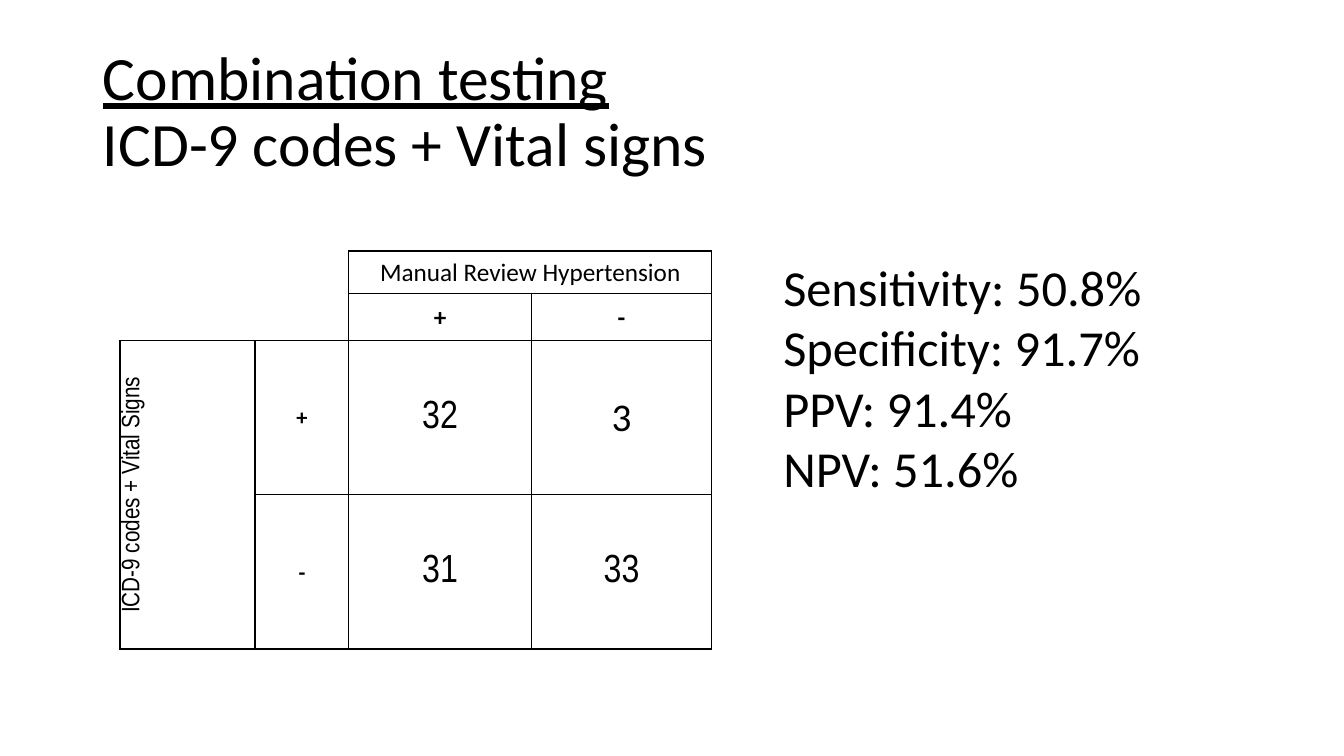
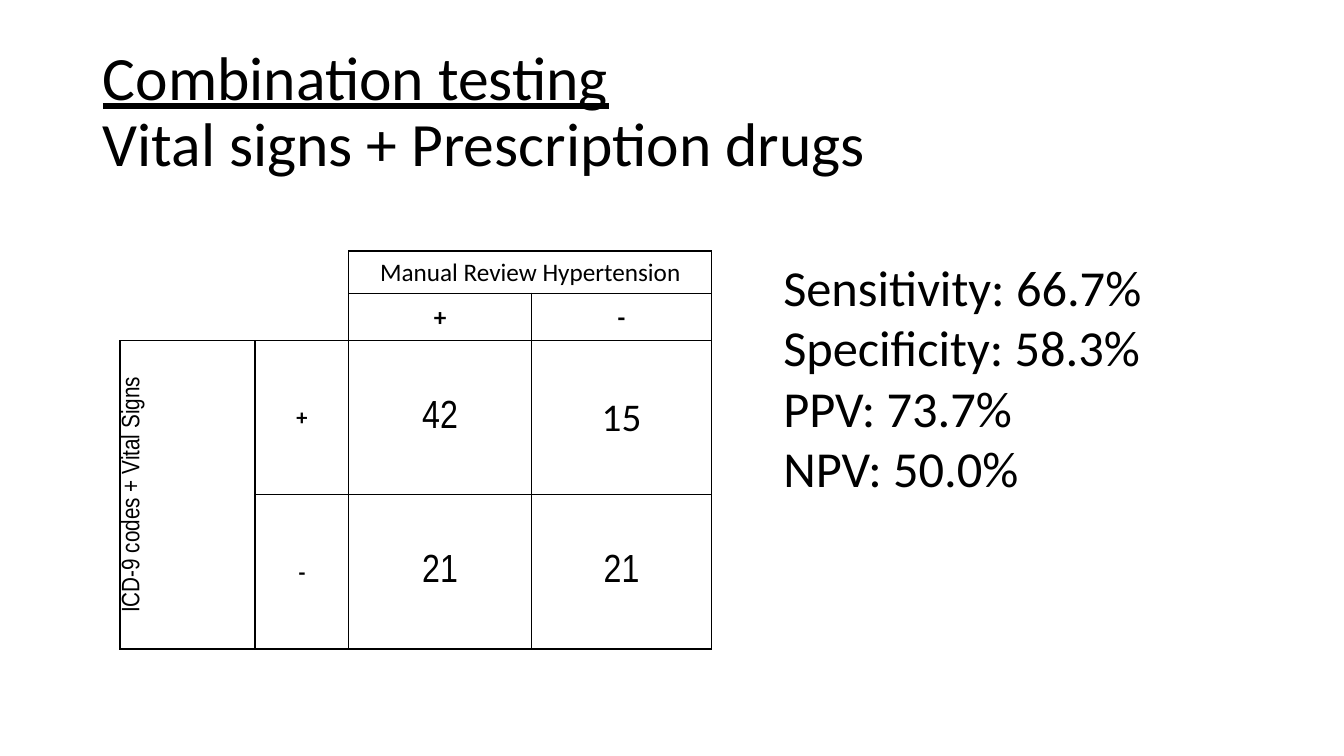
from lxml.etree import SubElement
from pptx import Presentation
from pptx.dml.color import RGBColor
from pptx.enum.text import MSO_ANCHOR as Anchor, MSO_AUTO_SIZE as AutoSize, PP_ALIGN as Align
from pptx.oxml.ns import qn
from pptx.util import Inches, Pt

COLORS = {"ink": "000000", "paper": "FFFFFF"}
BODY_FONT = "Calibri"
NARROW_FONT = "Arial Narrow"

TITLE_BOX = (0.92, 0.4, 11.5, 1.45)
MATRIX_BOX = (1.19, 2.49, 5.87, 3.95)
STATS_BOX = (7.67, 2.49, 4.21, 2.52)

COL_WIDTHS = (1.34, 0.93, 1.81, 1.79)
ROW_HEIGHTS = (0.42, 0.47, 1.53, 1.53)
TOPIC = "Combination testing"
STAT_NAMES = ("Sensitivity", "Specificity", "PPV", "NPV")

SLIDES = (
    ("ICD-9 codes + Vital signs", (("32", "3"), ("31", "33")),
     ("50.8%", "91.7%", "91.4%", "51.6%")),
    ("Vital signs + Prescription drugs", (("42", "15"), ("21", "21")),
     ("66.7%", "58.3%", "73.7%", "50.0%")),
)


def format_run(r, size, font=BODY_FONT, bold=False):
    r.font.size = Pt(size)
    r.font.name = font
    r.font.bold = bold
    r.font.color.rgb = RGBColor.from_string(COLORS["ink"])


def set_borders(cell, left="ink", right="ink", top="ink", bottom="ink"):
    tc_pr = cell._tc.get_or_add_tcPr()
    for side, color in zip("LRTB", (left, right, top, bottom)):
        ln = SubElement(tc_pr, qn(f"a:ln{side}"), w=str(Pt(1)))
        fill = SubElement(ln, qn("a:solidFill"))
        SubElement(fill, qn("a:srgbClr"), val=COLORS[color])


def write_cell(cell, text, size, font=BODY_FONT, bold=False):
    cell.vertical_anchor = Anchor.MIDDLE
    cell.margin_left = cell.margin_right = cell.margin_top = Inches(0.01)
    cell.margin_bottom = 0
    p = cell.text_frame.paragraphs[0]
    p.text = text
    p.alignment = Align.CENTER
    format_run(p.runs[0], size, font, bold)


def add_title(slide, box, subject):
    sp = slide.shapes.title
    sp.left, sp.top, sp.width, sp.height = map(Inches, box)
    tf = sp.text_frame
    tf.auto_size = AutoSize.NONE
    tf.vertical_anchor = Anchor.MIDDLE
    p = tf.paragraphs[0]
    p.text = f"{TOPIC}\v{subject}"
    p.alignment = Align.LEFT
    p.line_spacing = 0.9
    for r in p.runs:
        format_run(r, 44)
    p.runs[0].font.underline = True


def add_matrix(slide, box, counts):
    table = slide.shapes.add_table(4, 4, *map(Inches, box)).table
    table.first_row = table.horz_banding = False
    for col, width in zip(table.columns, COL_WIDTHS):
        col.width = Inches(width)
    for row, height in zip(table.rows, ROW_HEIGHTS):
        row.height = Inches(height)

    blank_borders = {
        (0, 0): dict(left="paper", right="paper", top="paper", bottom="paper"),
        (0, 1): dict(left="paper", top="paper", bottom="paper"),
        (1, 0): dict(left="paper", right="paper", top="paper"),
        (1, 1): dict(left="paper", top="paper"),
    }
    for row in range(4):
        for col in range(4):
            cell = table.cell(row, col)
            set_borders(cell, **blank_borders.get((row, col), {}))
            cell.fill.background()

    table.cell(0, 2).merge(table.cell(0, 3))
    write_cell(table.cell(0, 2), "Manual Review Hypertension", 18)
    side = table.cell(2, 0)
    side.merge(table.cell(3, 0))
    write_cell(side, "ICD-9 codes + Vital Signs", 18, NARROW_FONT)
    side._tc.get_or_add_tcPr().set("vert", "vert270")

    for i, sign in enumerate("+-"):
        write_cell(table.cell(1, 2 + i), sign, 18, bold=True)
        write_cell(table.cell(2 + i, 1), sign, 16, bold=True)
        for j, count in enumerate(counts[i]):
            font = BODY_FONT if (i, j) == (0, 1) else NARROW_FONT
            write_cell(table.cell(2 + i, 2 + j), count, 28, font)


def add_stats(slide, box, values):
    tf = slide.shapes.add_textbox(*map(Inches, box)).text_frame
    tf.word_wrap = True
    tf.auto_size = AutoSize.SHAPE_TO_FIT_TEXT
    p = tf.paragraphs[0]
    p.text = "\v".join(f"{name}: {value}" for name, value in zip(STAT_NAMES, values))
    for r in p.runs:
        format_run(r, 36)


def add_test_slide(prs, subject, counts, values):
    slide = prs.slides.add_slide(prs.slide_layouts[5])
    add_title(slide, TITLE_BOX, subject)
    add_matrix(slide, MATRIX_BOX, counts)
    add_stats(slide, STATS_BOX, values)


def main():
    prs = Presentation()
    prs.slide_width = Inches(13.33)
    prs.slide_height = Inches(7.5)
    for subject, counts, values in SLIDES:
        add_test_slide(prs, subject, counts, values)
    prs.save("out.pptx")


if __name__ == "__main__":
    main()
